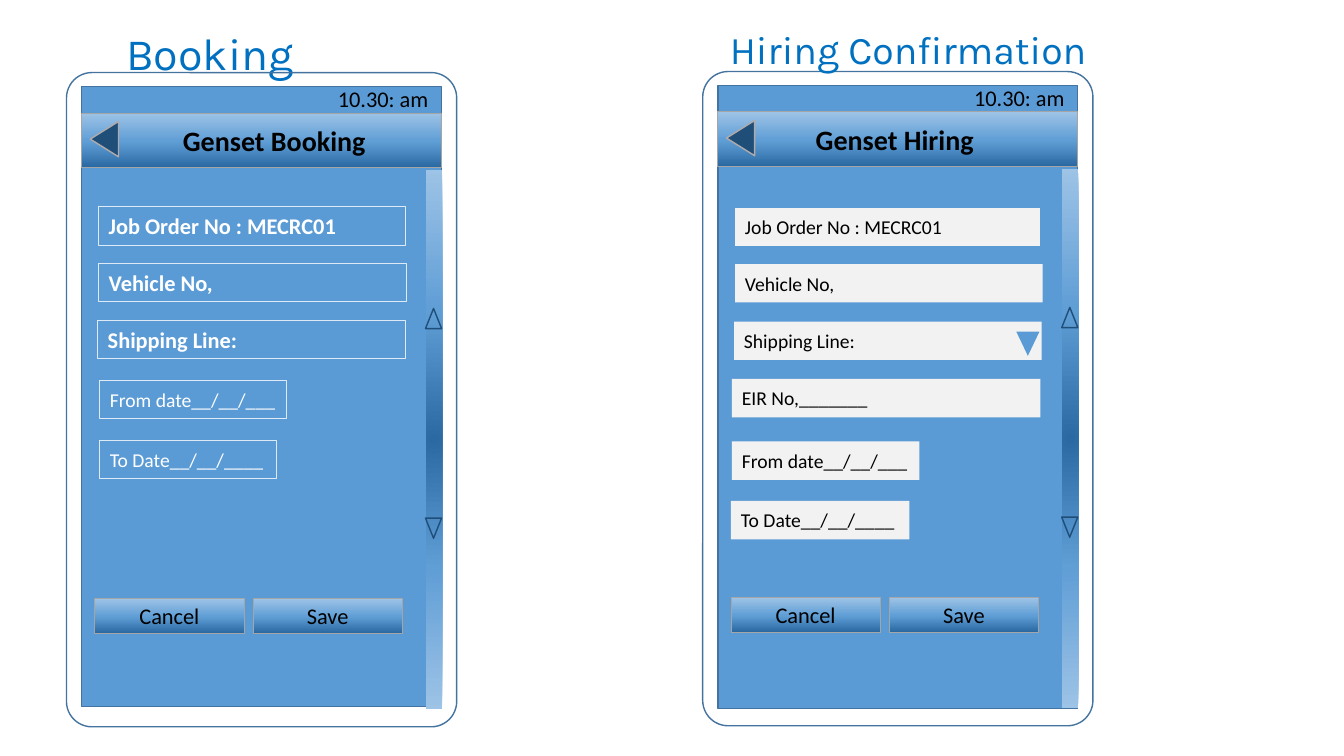
from lxml.etree import SubElement
from pptx import Presentation
from pptx.dml.color import RGBColor as Rgb
from pptx.enum.shapes import MSO_SHAPE as Kind
from pptx.enum.text import MSO_ANCHOR as Anchor, MSO_AUTO_SIZE as Fit, PP_ALIGN as Align
from pptx.oxml.ns import qn
from pptx.util import Inches, Pt

HUES = {
    "screen": "5B9BD5", "edge": "43739E", "title": "0070C0",
    "white": "FFFFFF", "black": "000000", "pale": "DEEBF7",
    "field": "F2F2F2", "rim": "A5A5A5", "navy": "1F4E79", "stone": "AFABAB",
    "deep": "2A69A2", "mid": "609ED6", "light": "9DC3E6",
}
STOPS = [(0, "deep"), (48, "mid"), (100, "light")]


def color(name):
    return Rgb.from_string(HUES[name])


def shade(shape, radial):
    shape.fill.background()
    props = shape._element.spPr
    grad = SubElement(props, qn("a:gradFill"), rotWithShape="1")
    props.replace(props.find(qn("a:noFill")), grad)
    stops = SubElement(grad, qn("a:gsLst"))
    for pos, name in STOPS:
        stop = SubElement(stops, qn("a:gs"), pos=str(pos * 1000))
        SubElement(stop, qn("a:srgbClr"), val=HUES[name])
    if radial:
        way = SubElement(grad, qn("a:path"), path="circle")
        SubElement(way, qn("a:fillToRect"), l="50000", t="50000", r="50000", b="50000")
    else:
        SubElement(grad, qn("a:lin"), ang="16200000", scaled="0")


def draw(slide, kind, box, fill=None, line=None, width=1, turn=0, round=0):
    shape = slide.shapes.add_shape(kind, *map(Inches, box))
    shape.shadow.inherit = False
    shape.rotation = turn
    if kind == Kind.ROUNDED_RECTANGLE:
        shape.adjustments[0] = round
    if fill in ("linear", "radial"):
        shade(shape, fill == "radial")
    elif fill:
        shape.fill.solid()
        shape.fill.fore_color.rgb = color(fill)
    else:
        shape.fill.background()
    if line:
        shape.line.color.rgb = color(line)
        shape.line.width = Pt(width)
    else:
        shape.line.fill.background()
    return shape


def write(shape, text, size, hue, bold=False, align=Align.CENTER, font="Calibri"):
    frame = shape.text_frame
    frame.word_wrap = True
    frame.auto_size = Fit.NONE
    frame.vertical_anchor = Anchor.MIDDLE
    para = frame.paragraphs[0]
    para.alignment = align
    run = para.add_run()
    run.text = text
    run.font.name = font
    run.font.size = Pt(size)
    run.font.bold = bold
    run.font.color.rgb = color(hue)


def head(shape, box, text, size):
    shape.left, shape.top, shape.width, shape.height = map(Inches, box)
    write(shape, text, size, "title", align=Align.LEFT, font="Karla")


def top(slide, box, text, left, right):
    x, y, w, h = box
    bar = draw(slide, Kind.FLOWCHART_PROCESS, (x, y + 0.26, w, 0.54), "linear", "rim", 0.5)
    bar.text_frame.margin_left = Inches(left)
    bar.text_frame.margin_right = Inches(right)
    write(bar, text, 20, "black", True)
    draw(slide, Kind.FLOWCHART_MERGE, (x + 0.05, y + 0.38, 0.35, 0.28),
         "navy", "stone", turn=90)
    clock = draw(slide, Kind.ROUNDED_RECTANGLE, (x + 2.25, y - 0.03, 1.48, 0.29))
    write(clock, "10.30: am", 16, "black")


def form(slide, box, rows, fill, line, hue):
    x, y, w, h = box
    for i, (text, dx, dy, wide, size, bold) in enumerate(rows):
        kind = Kind.ROUNDED_RECTANGLE if i else Kind.FLOWCHART_PROCESS
        field = draw(slide, kind, (x + dx, y + dy, wide, 0.38), fill, line, 0.5)
        write(field, text, size, hue, bold, Align.LEFT)


def scroll(slide, box):
    x, y, w, h = box
    draw(slide, Kind.FLOWCHART_PROCESS, (x + 0.82, y + 3.42, 5.35, 0.16), "radial", turn=90)
    for dy, turn in [(2.2, 180), (4.28, 0)]:
        draw(slide, Kind.FLOWCHART_MERGE, (x + 3.41, y + dy, 0.16, 0.2),
             line="navy", turn=turn)


def phone(slide, box, name, left, right, rows, fill, line, hue):
    x, y, w, h = box
    draw(slide, Kind.RECTANGLE, box, "screen", "edge")
    form(slide, box, rows, fill, line, hue)
    for i, text in enumerate(["Cancel", "Save"]):
        key = draw(slide, Kind.ROUNDED_RECTANGLE,
                   (x + 0.13 + 1.57 * i, y + 5.08, 1.48, 0.34), "linear", "rim", 0.5)
        write(key, text, 16, "black")
    top(slide, box, name, left, right)
    scroll(slide, box)
    draw(slide, Kind.ROUNDED_RECTANGLE, (x - 0.15, y - 0.14, 3.87, 6.49),
         line="edge", round=0.065)


def main():
    deck = Presentation()
    deck.slide_width, deck.slide_height = Inches(13.33), Inches(7.5)
    slide = deck.slides.add_slide(deck.slide_layouts[5])

    book = [
        ("Job Order No : MECRC01", 0.17, 1.19, 3.04, 16, True),
        ("Vehicle No,", 0.17, 1.75, 3.05, 16, True),
        ("Shipping Line:", 0.16, 2.32, 3.05, 16, True),
        ("From date__/__/___", 0.18, 2.91, 1.85, 14, False),
        ("To Date__/__/____", 0.18, 3.51, 1.75, 14, False),
    ]
    hire = [
        ("Job Order No : MECRC01", 0.17, 1.21, 3.03, 14, False),
        ("Vehicle No,", 0.17, 1.77, 3.05, 14, False),
        ("Shipping Line:", 0.16, 2.34, 3.05, 14, False),
        ("EIR No,_______", 0.14, 2.91, 3.06, 14, False),
        ("From date__/__/___", 0.14, 3.53, 1.86, 14, False),
        ("To Date__/__/____", 0.13, 4.12, 1.77, 14, False),
    ]
    phone(slide, (0.81, 0.86, 3.57, 6.15), "Genset Booking", 0.35, 0.1,
          book, None, "pale", "white")
    phone(slide, (7.12, 0.85, 3.57, 6.18), "Genset Hiring", 0.1, 0.16,
          hire, "field", None, "black")
    draw(slide, Kind.FLOWCHART_MERGE, (10.08, 3.29, 0.23, 0.24), "screen")

    head(slide.shapes.title, (1.15, 0.33, 3.13, 0.38), "Booking", 32)
    note = slide.shapes.add_textbox(0, 0, 0, 0)
    head(note, (7.14, 0.2, 4.06, 0.57), "Hiring Confirmation", 28)
    deck.save("out.pptx")


if __name__ == "__main__":
    main()
